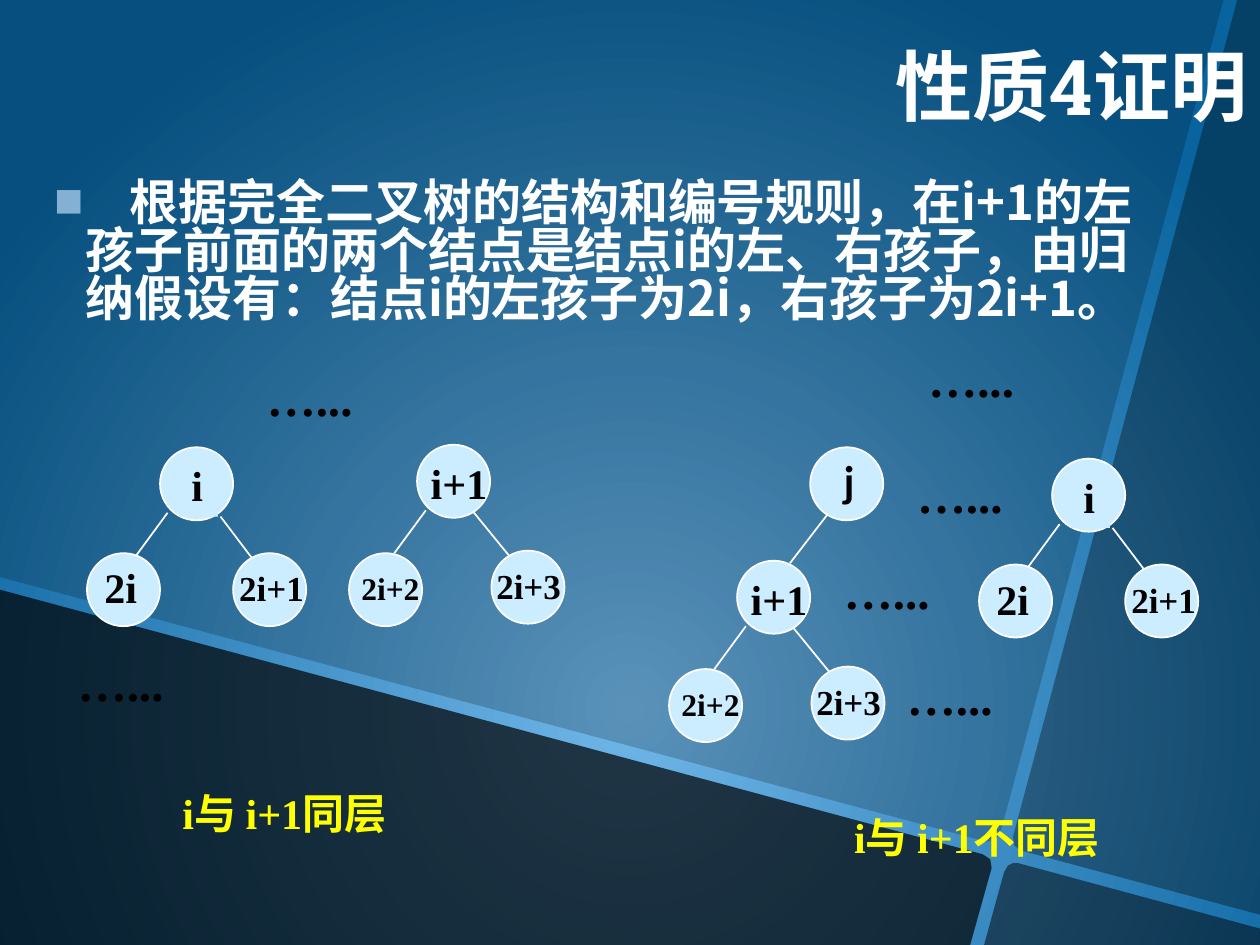
from dataclasses import dataclass

from lxml import etree
from pptx import Presentation
from pptx.dml.color import RGBColor
from pptx.enum.shapes import MSO_CONNECTOR, MSO_SHAPE
from pptx.enum.text import MSO_ANCHOR, MSO_AUTO_SIZE, PP_ALIGN
from pptx.oxml import parse_xml
from pptx.oxml.ns import nsdecls, qn
from pptx.util import Inches, Pt

STRAIGHT = MSO_CONNECTOR.STRAIGHT
ELLIPSE = MSO_SHAPE.OVAL
FIT_SHAPE = MSO_AUTO_SIZE.SHAPE_TO_FIT_TEXT
FIT_NONE = MSO_AUTO_SIZE.NONE
BOTTOM, TOP = MSO_ANCHOR.BOTTOM, MSO_ANCHOR.TOP
RIGHT, LEFT = PP_ALIGN.RIGHT, PP_ALIGN.LEFT

SERIF, CHINESE = "Times New Roman", "Noto Sans CJK SC"
WHITE, BLACK, YELLOW, PALE = "FFFFFF", "000000", "FFFF00", "CCECFF"
DIAMETER = 0.58


@dataclass
class Panel:
    points: list
    opacity: int


@dataclass
class Label:
    text: str
    left: float
    top: float
    width: float
    height: float
    size: int = 24
    color: str = BLACK
    font: str = SERIF
    wrap: bool = True
    fill: str = ""


@dataclass
class Tree:
    circles: list
    edges: list
    labels: list


PANELS = [
    Panel([(0, 0), (9.71, 0), (7.94, 6.61), (7.9, 6.67), (7.83, 6.68), (0, 4.58)], 20),
    Panel([(0, 4.68), (7.8, 6.78), (7.86, 6.82), (7.87, 6.89), (7.7, 7.5), (0, 7.5)], 70),
    Panel([(8.04, 6.85), (8.08, 6.85), (10, 7.37), (10, 7.5), (7.81, 7.5),
           (7.97, 6.92), (8, 6.87)], 50),
    Panel([(9.82, 0), (10, 0), (10, 7.26), (8.1, 6.75), (8.05, 6.71), (8.04, 6.64)], 35),
]

TREE_I = Tree(
    [(0, 0), (0.58, 0.84), (-0.58, 0.84)],
    [(0.48, 0.55, 0.73, 0.88), (0.06, 0.52, -0.19, 0.86)],
    [Label("i", 0.15, 0.05, 0.31, 0.5, fill=PALE),
     Label("2i+1", 0.53, 0.9, 0.98, 0.43, 20),
     Label("2i", -0.54, 0.86, 0.46, 0.5, wrap=False)],
)
TREE_NEXT = Tree(
    [(0, 0), (0.59, 0.84), (-0.54, 0.86)],
    [(0.42, 0.5, 0.73, 0.88), (0.07, 0.52, -0.18, 0.86)],
    [Label("i+1", 0.01, 0.05, 0.69, 0.5),
     Label("2i+3", 0.53, 0.9, 0.98, 0.43, 20),
     Label("2i+2", -0.54, 0.94, 0.67, 0.4, 18, wrap=False)],
)
TREE_J = Tree(
    [(0, 0)],
    [(0.14, 0.53, -0.16, 0.92)],
    [Label("j", 0.17, 0.02, 0.27, 0.5, font="Lato")],
)

SAME_LEVEL = [(TREE_I, 1.27, 3.55), (TREE_NEXT, 3.31, 3.53)]
OTHER_LEVEL = [(TREE_I, 8.35, 3.64), (TREE_NEXT, 5.85, 4.45), (TREE_J, 6.43, 3.55)]
SAME_DOTS = [(2.02, 2.87), (0.52, 5.13)]
OTHER_DOTS = [(6.6, 4.4), (7.18, 3.64), (7.1, 5.24), (7.27, 2.72)]
SAME_CAPTION = Label("i与 i+1同层", 1.35, 6.2, 2, 0.5, color=YELLOW)
OTHER_CAPTION = Label("i与 i+1不同层", 6.68, 6.39, 2.33, 0.5, color=YELLOW)


def rgb(value: str) -> RGBColor:
    return RGBColor.from_string(value)


def style(paragraph, font_name: str, size: int, color: str) -> None:
    font = paragraph.font
    font.name, font.size, font.bold = font_name, Pt(size), True
    font.color.rgb = rgb(color)
    etree.SubElement(font._rPr, qn("a:ea"), typeface=CHINESE)


def paint_background(page) -> None:
    fill = page.background.fill
    fill.gradient()
    old = page.background._cSld.bg.bgPr.find(qn("a:gradFill"))
    new = parse_xml(
        f'<a:gradFill {nsdecls("a")} rotWithShape="1"><a:gsLst>'
        '<a:gs pos="0"><a:srgbClr val="70B6E8"/></a:gs>'
        '<a:gs pos="100000"><a:srgbClr val="08639E"/></a:gs></a:gsLst>'
        '<a:path path="circle"><a:fillToRect l="50000" t="50000" r="50000" b="0"/>'
        '</a:path></a:gradFill>')
    old.getparent().replace(old, new)


def draw_panel(page, panel: Panel, depth: int) -> None:
    points = [(Inches(x), Inches(y)) for x, y in panel.points]
    builder = page.shapes.build_freeform(*points[0])
    builder.add_line_segments(points[1:])
    shape = builder.convert_to_shape()
    shape.shadow.inherit = False
    shape.line.fill.background()
    shape.fill.solid()
    shape.fill.fore_color.rgb = rgb(BLACK)
    color = shape._element.spPr.find(qn("a:solidFill"))[0]
    etree.SubElement(color, qn("a:alpha"), val=str(panel.opacity * 1000))
    page.shapes._spTree.insert(2 + depth, shape._element)


def draw_label(group, label: Label, x: float = 0, y: float = 0) -> None:
    box = group.shapes.add_textbox(Inches(x + label.left), Inches(y + label.top),
                                   Inches(label.width), Inches(label.height))
    if label.fill:
        box.fill.solid()
        box.fill.fore_color.rgb = rgb(label.fill)
    frame = box.text_frame
    frame.word_wrap = label.wrap
    frame.auto_size = FIT_SHAPE
    paragraph = frame.paragraphs[0]
    paragraph.text = label.text
    style(paragraph, label.font, label.size, label.color)


def draw_tree(group, tree: Tree, x: float, y: float) -> None:
    for start_x, start_y, end_x, end_y in tree.edges:
        edge = group.shapes.add_connector(STRAIGHT, Inches(x + start_x), Inches(y + start_y),
                                          Inches(x + end_x), Inches(y + end_y))
        edge.line.color.rgb = rgb(WHITE)
        edge.line.width = Pt(1)
        etree.SubElement(edge._element.spPr, qn("a:effectLst"))
    for left, top in tree.circles:
        circle = group.shapes.add_shape(ELLIPSE, Inches(x + left), Inches(y + top),
                                        Inches(DIAMETER), Inches(DIAMETER))
        circle.shadow.inherit = False
        circle.fill.solid()
        circle.fill.fore_color.rgb = rgb(PALE)
        circle.line.color.rgb = rgb(WHITE)
        circle.line.width = Pt(1)
    for label in tree.labels:
        draw_label(group, label, x, y)


def draw_case(page, trees: list, dots: list, caption: Label) -> None:
    group = page.shapes.add_group_shape()
    for tree, x, y in trees:
        draw_tree(group, tree, x, y)
    for left, top in dots:
        draw_label(group, Label("…...", left, top, 1, 0.57, 28))
    draw_label(group, caption)


def fill_placeholder(box, area: tuple, text: str, anchor, alignment):
    box.left, box.top, box.width, box.height = map(Inches, area)
    frame = box.text_frame
    frame.word_wrap = True
    frame.auto_size = FIT_NONE
    frame.vertical_anchor = anchor
    paragraph = frame.paragraphs[0]
    paragraph.text = text
    paragraph.alignment = alignment
    paragraph.space_before = Pt(0)
    return paragraph


def write_body(box) -> None:
    paragraph = fill_placeholder(
        box, (0.33, 1.39, 9, 1.67),
        "\t根据完全二叉树的结构和编号规则，在i+1的左孩子前面的两个结点是结点i的左、右孩子，"
        "由归纳假设有：结点i的左孩子为2i，右孩子为2i+1。", TOP, LEFT)
    paragraph.line_spacing = 0.82
    properties = paragraph._p.get_or_add_pPr()
    properties.set("marL", str(Inches(0.25)))
    properties.set("indent", str(-Inches(0.25)))
    color = etree.SubElement(properties, qn("a:buClr"))
    etree.SubElement(color, qn("a:srgbClr"), val="83B0D3")
    etree.SubElement(properties, qn("a:buSzPct"), val="60000")
    etree.SubElement(properties, qn("a:buFont"), typeface=CHINESE)
    etree.SubElement(properties, qn("a:buChar"), char="■")
    tabs = etree.SubElement(properties, qn("a:tabLst"))
    etree.SubElement(tabs, qn("a:tab"), pos=str(Inches(0.6)), algn="l")
    style(paragraph, CHINESE, 28, WHITE)


def main() -> None:
    deck = Presentation()
    deck.slide_width, deck.slide_height = Inches(10), Inches(7.5)
    page = deck.slides.add_slide(deck.slide_layouts[1])
    paint_background(page)
    for depth, panel in enumerate(PANELS):
        draw_panel(page, panel, depth)
    title = fill_placeholder(page.shapes.title, (1.25, 0.17, 8.75, 0.92),
                             "性质4证明", BOTTOM, RIGHT)
    style(title, "Roboto Slab", 44, WHITE)
    write_body(page.placeholders[1])
    draw_case(page, SAME_LEVEL, SAME_DOTS, SAME_CAPTION)
    draw_case(page, OTHER_LEVEL, OTHER_DOTS, OTHER_CAPTION)
    deck.save("out.pptx")


if __name__ == "__main__":
    main()
